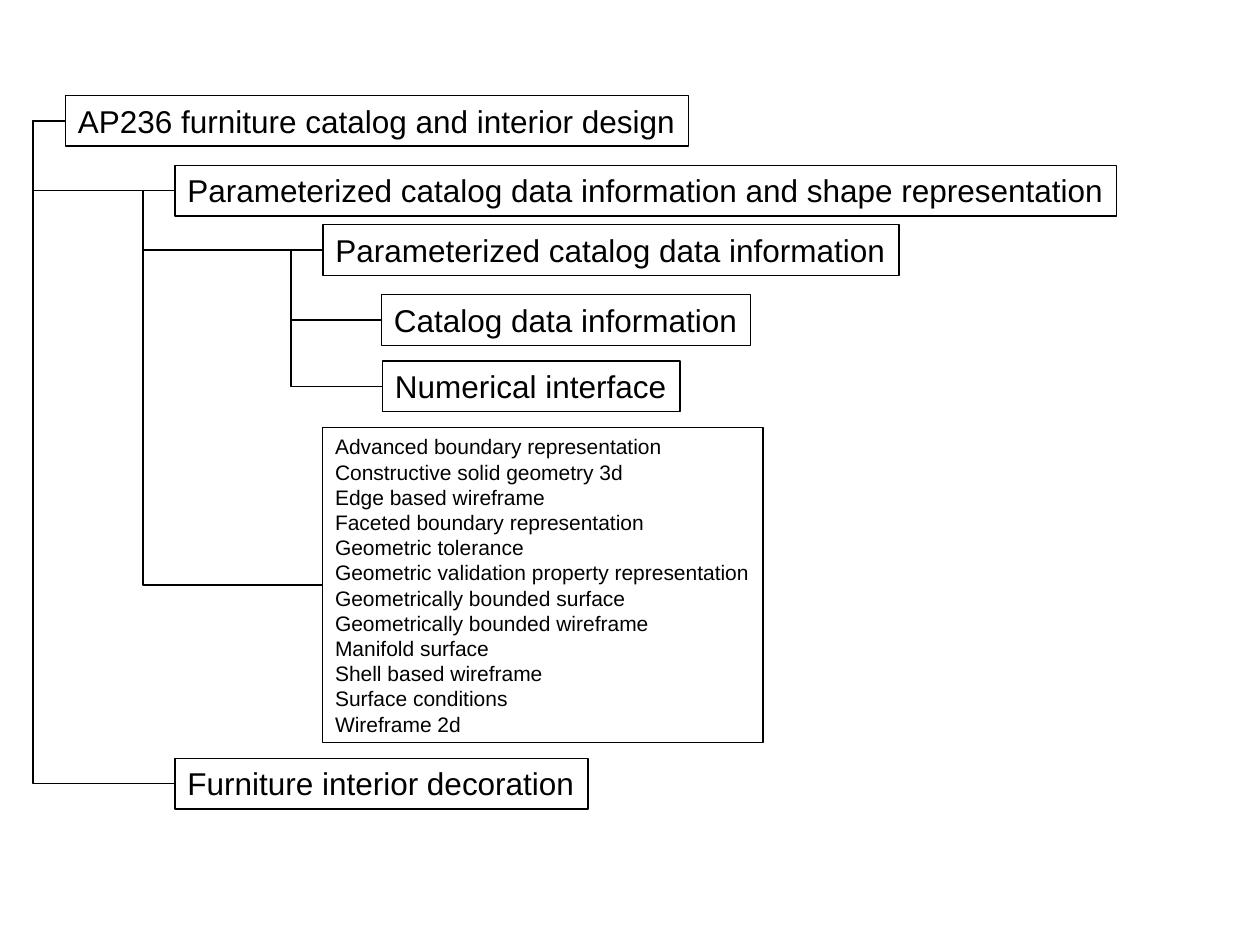
from lxml.etree import SubElement
from pptx import Presentation
from pptx.dml.color import RGBColor
from pptx.enum.shapes import MSO_CONNECTOR
from pptx.enum.text import MSO_AUTO_SIZE
from pptx.oxml.ns import qn
from pptx.util import Pt

COLORS = {"ink": "000000"}

REPRESENTATIONS = [
    "Advanced boundary representation",
    "Constructive solid geometry 3d",
    "Edge based wireframe",
    "Faceted boundary representation",
    "Geometric tolerance",
    "Geometric validation property representation",
    "Geometrically bounded surface",
    "Geometrically bounded wireframe",
    "Manifold surface",
    "Shell based wireframe",
    "Surface conditions",
    "Wireframe 2d",
]

BOXES = {
    "root": (37.4, 54.5, 356.2, 29, 18, ["AP236 furniture catalog and interior design"]),
    "shape": (100, 94.4, 538.2, 29, 18,
              ["Parameterized catalog data information and shape representation"]),
    "parametric": (184.6, 128.3, 329.2, 29, 18, ["Parameterized catalog data information"]),
    "catalog": (218, 168.4, 211, 29, 18, ["Catalog data information"]),
    "numerical": (218.6, 206.3, 170, 29, 18, ["Numerical interface"]),
    "geometry": (184.4, 244.4, 251.6, 180, 12, REPRESENTATIONS),
    "decoration": (100, 433.3, 236, 29, 18, ["Furniture interior decoration"]),
}

LINKS = [
    ("root", "shape"),
    ("root", "decoration"),
    ("shape", "parametric"),
    ("shape", "geometry"),
    ("parametric", "catalog"),
    ("parametric", "numerical"),
]


class TreeSlide:
    """Draws outlined boxes and elbow links in one style on a slide."""

    font = "Arial"
    ink = RGBColor.from_string(COLORS["ink"])
    indent = 18

    def __init__(self, prs):
        self.s = prs.slides.add_slide(prs.slide_layouts[6])

    def outline(self, line, width):
        line.color.rgb = self.ink
        line.width = Pt(width)

    def box(self, x, y, w, h, size, lines):
        sp = self.s.shapes.add_textbox(Pt(x), Pt(y), Pt(w), Pt(h))
        self.outline(sp.line, 0.75)
        tf = sp.text_frame
        tf.word_wrap = False
        tf.auto_size = MSO_AUTO_SIZE.SHAPE_TO_FIT_TEXT
        tf.text = "\n".join(lines)
        for p in tf.paragraphs:
            p.font.name = self.font
            p.font.size = Pt(size)
            p.font.color.rgb = self.ink

    def link(self, parent, child):
        x1, y1 = parent[0] - 0.4, parent[1] + parent[3] / 2
        x2, y2 = child[0], child[1] + child[3] / 2
        cxn = self.s.shapes.add_connector(
            MSO_CONNECTOR.ELBOW, Pt(x1), Pt(y1), Pt(x2), Pt(y2))
        self.outline(cxn.line, 1)
        spPr = cxn._element.spPr
        bend = round(-self.indent / (x2 - x1) * 100000)
        avLst = spPr.find(qn("a:prstGeom")).find(qn("a:avLst"))
        SubElement(avLst, qn("a:gd"), name="adj1", fmla=f"val {bend}")
        SubElement(spPr, qn("a:effectLst"))


def main():
    prs = Presentation()
    prs.slide_width, prs.slide_height = Pt(720), Pt(540)
    tree = TreeSlide(prs)
    for box in BOXES.values():
        tree.box(*box)
    for parent, child in LINKS:
        tree.link(BOXES[parent], BOXES[child])
    prs.save("out.pptx")


if __name__ == "__main__":
    main()
